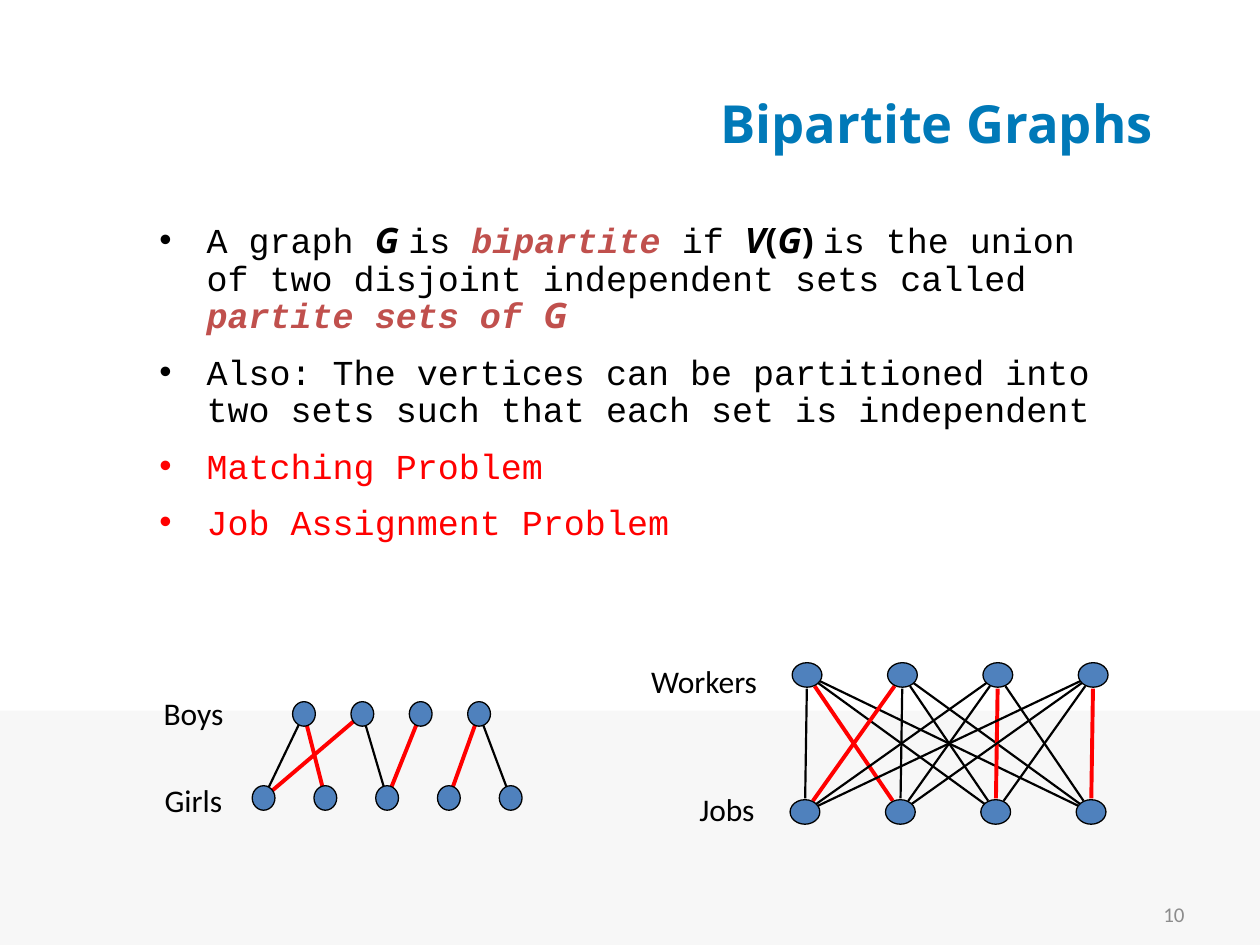
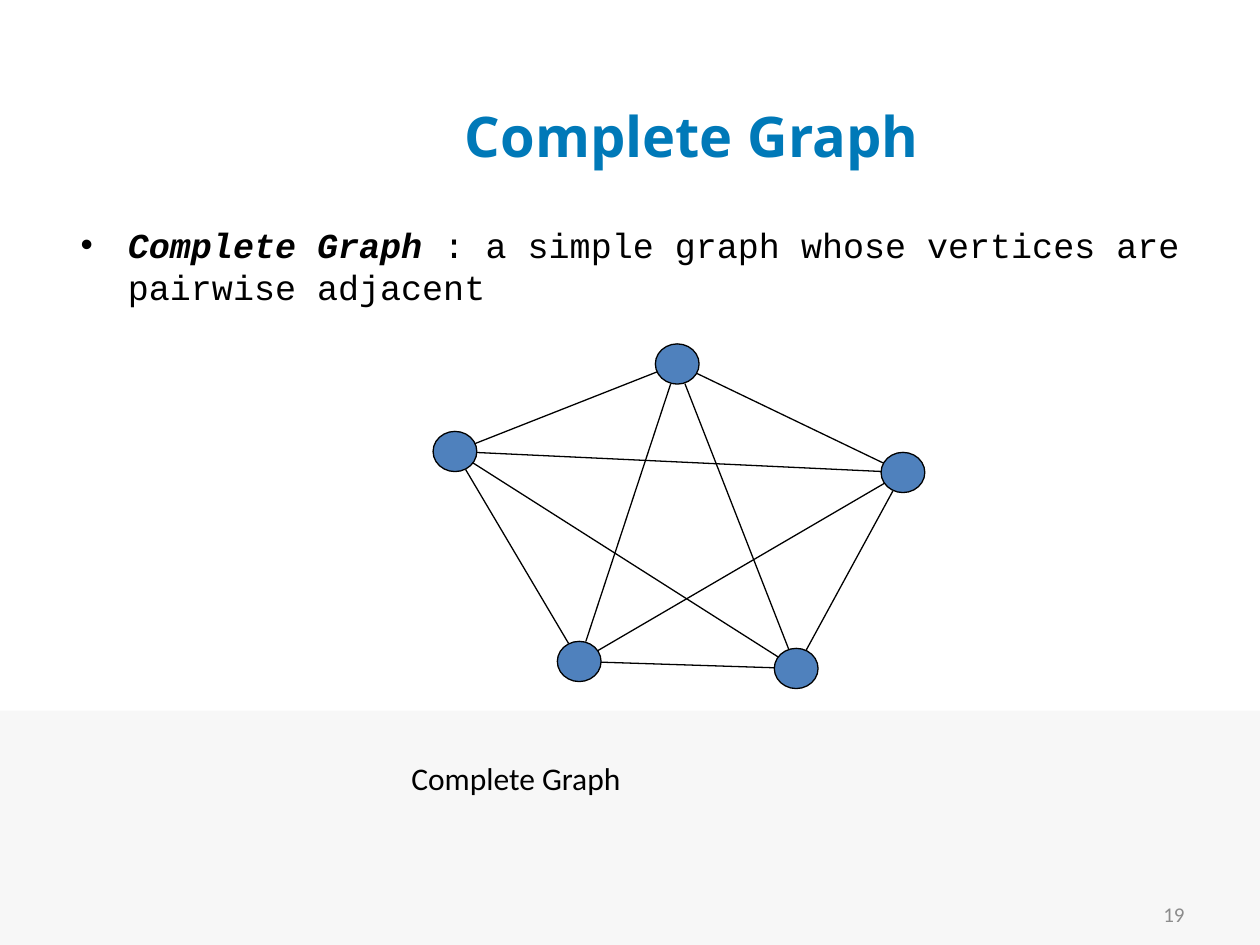
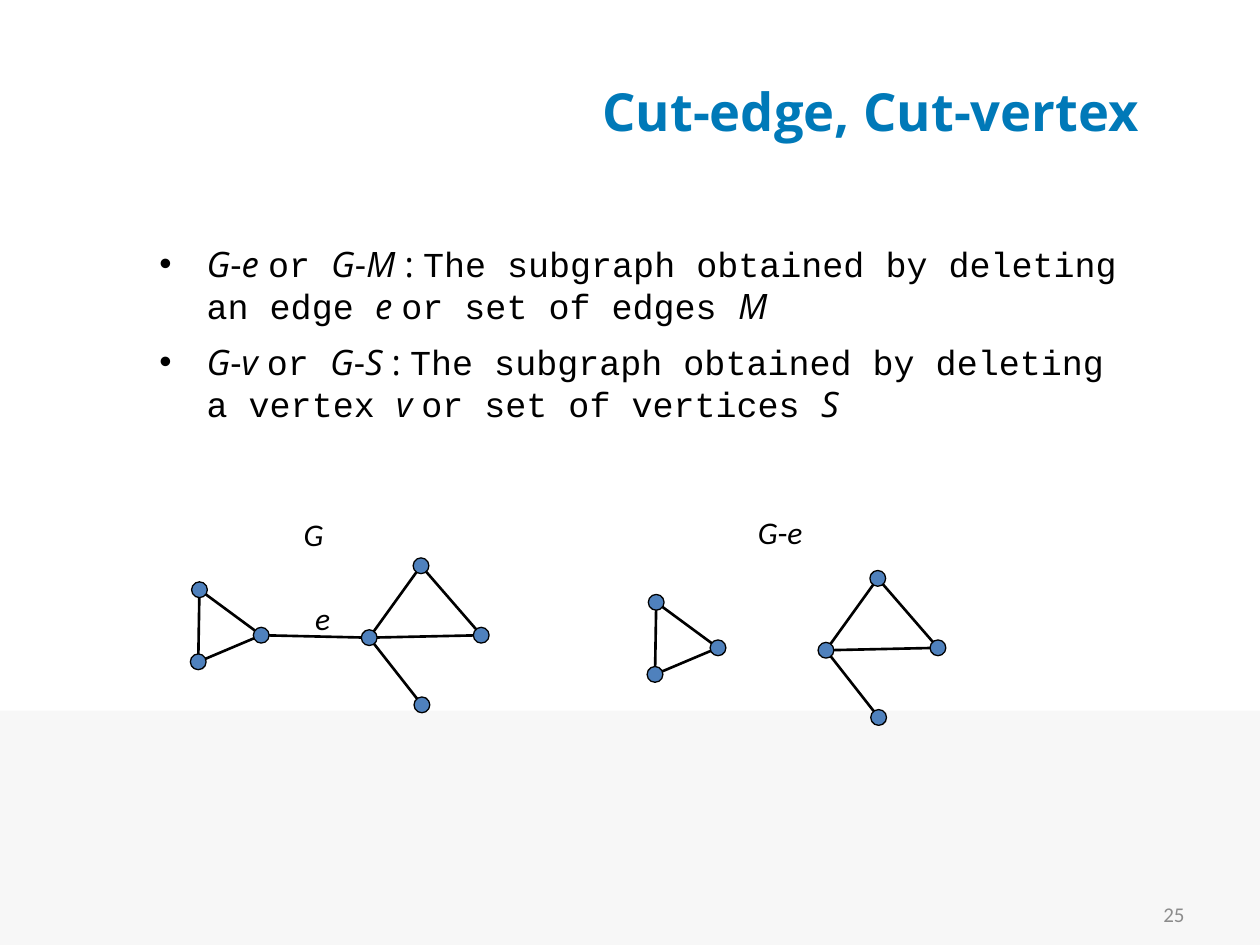
from itertools import combinations, product
from math import hypot

from lxml.etree import SubElement
from pptx import Presentation
from pptx.dml.color import RGBColor as RGB
from pptx.enum.shapes import MSO_CONNECTOR as LINK, MSO_SHAPE as FORM
from pptx.enum.text import MSO_ANCHOR as ANCHOR, PP_ALIGN as ALIGN
from pptx.oxml.ns import qn
from pptx.util import Pt


class Theme:
    black = RGB(0x00, 0x00, 0x00)
    red = RGB(0xFF, 0x00, 0x00)
    rust = RGB(0xC0, 0x50, 0x4D)
    blue = RGB(0x4F, 0x81, 0xBD)
    band = RGB(0xF7, 0xF7, 0xF7)
    head = {"name": "Open Sans", "size": Pt(30), "bold": True, "color": RGB(0x00, 0x79, 0xB8)}
    foot = {"name": "Calibri", "size": Pt(12), "color": RGB(0x8C, 0x8C, 0x8C)}
    label = {"name": "Calibri", "size": Pt(18), "color": black}
    mono = {"name": "Courier New", "size": Pt(20), "color": black}
    sans = {"name": "Open Sans", "size": Pt(20), "color": black}


SLANT = {"italic": True}
STRONG = {"bold": True, "italic": True}
BIG = Theme.head | {"size": Pt(32)}
TAG = Theme.label | SLANT
MONO, SANS = Theme.mono, Theme.sans
VAR = SANS | SLANT
SET = SANS | STRONG
TERM = MONO | STRONG | {"color": Theme.rust}
ALERT = MONO | {"color": Theme.red}


def text(page, box, paras, align=ALIGN.LEFT, anchor=ANCHOR.TOP,
         pad=(7.2, 7.2), bullet=False, lead=1.0, gap=0):
    """Add a text box; each paragraph is a list of (look, words) runs."""
    frame = page.shapes.add_textbox(*map(Pt, box)).text_frame
    frame.word_wrap = True
    frame.vertical_anchor = anchor
    frame.margin_left, frame.margin_right = map(Pt, pad)
    for i, runs in enumerate(paras):
        para = frame.add_paragraph() if i else frame.paragraphs[0]
        if bullet:
            props = para._p.get_or_add_pPr()
            props.set("marL", str(Pt(27)))
            props.set("indent", str(Pt(-27)))
            SubElement(props, qn("a:buFont"), typeface="Arial")
            SubElement(props, qn("a:buChar"), char="•")
        para.alignment = align
        para.line_spacing = lead
        if i:
            para.space_before = Pt(gap)
        for look, words in runs:
            run = para.add_run()
            run.text = words
            for key, value in look.items():
                if key == "color":
                    run.font.color.rgb = value
                else:
                    setattr(run.font, key, value)


def graph(page, dots, size, links, weight, match=(), bold=2.25):
    """Draw links between dot centres, cut at the dot edges; match links are red."""
    wide, high = size
    for a, b in links:
        (x1, y1), (x2, y2) = dots[a], dots[b]
        cut = (wide + high) / 4 / hypot(x2 - x1, y2 - y1)
        dx, dy = (x2 - x1) * cut, (y2 - y1) * cut
        ends = (x1 + dx, y1 + dy, x2 - dx, y2 - dy)
        edge = page.shapes.add_connector(LINK.STRAIGHT, *map(Pt, ends))
        hot = (a, b) in match
        edge.line.color.rgb = Theme.red if hot else Theme.black
        edge.line.width = Pt(bold if hot else weight)
        SubElement(edge._element.spPr, qn("a:effectLst"))
    for x, y in dots:
        dot = page.shapes.add_shape(
            FORM.OVAL, Pt(x - wide / 2), Pt(y - high / 2), Pt(wide), Pt(high))
        dot.shadow.inherit = False
        dot.fill.solid()
        dot.fill.fore_color.rgb = Theme.blue
        dot.line.color.rgb = Theme.black
        dot.line.width = Pt(0.75)


deck = Presentation()
deck.slide_width, deck.slide_height = Pt(720), Pt(540)

# Titles, page numbers and bullets
plans = [
    {
        "number": "10",
        "title": [(Theme.head, "Bipartite Graphs")],
        "head": {"box": (54, 34, 612, 72), "align": ALIGN.RIGHT},
        "body": {"box": (84, 124, 582, 230), "pad": (7.2, 20), "lead": 0.9, "gap": 10.5},
        "points": [
            [(MONO, "A graph "), (SET, "G "), (MONO, "is "), (TERM, "bipartite"),
             (MONO, " if "), (SET, "V"), (SANS | {"bold": True}, "("), (SET, "G"),
             (SANS | {"bold": True}, ") "),
             (MONO, "is the union of two disjoint independent sets called "),
             (TERM, "partite sets of "), (SET | {"color": Theme.rust}, "G")],
            [(MONO, "Also: The vertices can be partitioned into two sets "
                    "such that each set is independent")],
            [(ALERT, "Matching Problem")],
            [(ALERT, "Job Assignment Problem")],
        ],
    },
    {
        "number": "19",
        "title": [(BIG, "Complete Graph")],
        "head": {"box": (54, 39, 612, 76), "align": ALIGN.CENTER, "pad": (78, 7.2)},
        "body": {"box": (39, 124, 649, 103)},
        "points": [
            [(MONO | STRONG, "Complete Graph "),
             (MONO, ": a simple graph whose vertices are pairwise adjacent")],
        ],
    },
    {
        "number": "25",
        "title": [(Theme.head, "Cut-edge, Cut-vertex")],
        "head": {"box": (54, 24, 612, 78), "align": ALIGN.RIGHT, "pad": (7.2, 15)},
        "body": {"box": (84, 135, 578, 146), "gap": 8},
        "points": [
            [(VAR, "G"), (SANS, "-"), (VAR, one + " "), (MONO, "or "),
             (VAR, "G"), (SANS, "-"), (VAR, many), (SANS, " : "),
             (MONO, f"The subgraph obtained by deleting {noun} "), (VAR, one + " "),
             (MONO, f"or set of {plural} "), (VAR, many)]
            for one, many, noun, plural in [
                ("e", "M", "an edge", "edges"), ("v", "S", "a vertex", "vertices")]
        ],
    },
]

pages = []
for plan in plans:
    page = deck.slides.add_slide(deck.slide_layouts[6])
    band = page.shapes.add_shape(FORM.RECTANGLE, 0, Pt(406), Pt(720), Pt(134))
    band.shadow.inherit = False
    band.fill.solid()
    band.fill.fore_color.rgb = Theme.band
    band.line.fill.background()
    text(page, (516, 508, 168, 29), [[(Theme.foot, plan["number"])]],
         align=ALIGN.RIGHT, anchor=ANCHOR.MIDDLE)
    text(page, paras=[plan["title"]], anchor=ANCHOR.MIDDLE, **plan["head"])
    text(page, paras=plan["points"], bullet=True, **plan["body"])
    pages.append(page)
pairs, whole, cuts = pages

# Bipartite graphs: upper row first, then lower row
boys = [(173.7 + 33.35 * i, 408) for i in range(4)]
girls = [(150.6 + 35.3 * i, 456) for i in range(5)]
likes = [(0, 4), (0, 5), (1, 4), (1, 6), (2, 6), (3, 7), (3, 8)]
graph(pairs, boys + girls, (13, 14), likes, 1.25, match=[(0, 5), (1, 4), (2, 6), (3, 7)])

staff = [(461.2 + 54.5 * i, 385.7) for i in range(4)]
jobs = [(460 + 54.5 * i, 464) for i in range(4)]
graph(pairs, staff + jobs, (17, 14), product(range(4), range(4, 8)), 1.25,
      match=[(0, 5), (1, 4), (2, 6), (3, 7)])

# Complete graph on five vertices
ring = [(387, 208), (516, 270), (455, 382), (331, 378), (260, 258)]
graph(whole, ring, (25, 23), combinations(range(5), 2), 0.75)

# Graph with a cut-edge, and the same graph without it
dots = [(114, 337), (113.3, 378.2), (149.3, 363), (211, 364.4),
        (240.6, 323.3), (241.1, 402.8), (275, 363)]
bridge = (2, 3)
links = [(0, 1), (0, 2), (1, 2), (3, 4), (3, 5), (4, 6), (3, 6)]
graph(cuts, dots, (9, 9), links + [bridge], 1.5)
graph(cuts, [(x + 261, y + 7.2) for x, y in dots], (9, 9), links, 1.5)

# Labels
for page, box, runs in [
    (pairs, (365, 375, 81, 29), [(Theme.label, "Workers")]),
    (pairs, (392.5, 448, 55, 29), [(Theme.label, "Jobs")]),
    (pairs, (86.4, 393, 57, 29), [(Theme.label, "Boys")]),
    (pairs, (87, 443, 58, 29), [(Theme.label, "Girls")]),
    (whole, (228, 430, 192, 29), [(Theme.label, "Complete Graph")]),
    (cuts, (166.5, 291, 56, 29), [(TAG, "G")]),
    (cuts, (173, 338.5, 32, 29), [(TAG, "e")]),
    (cuts, (426, 289.5, 63, 29), [(TAG, "G"), (Theme.label, "-"), (TAG, "e")]),
]:
    text(page, box, [runs])

deck.save("out.pptx")
